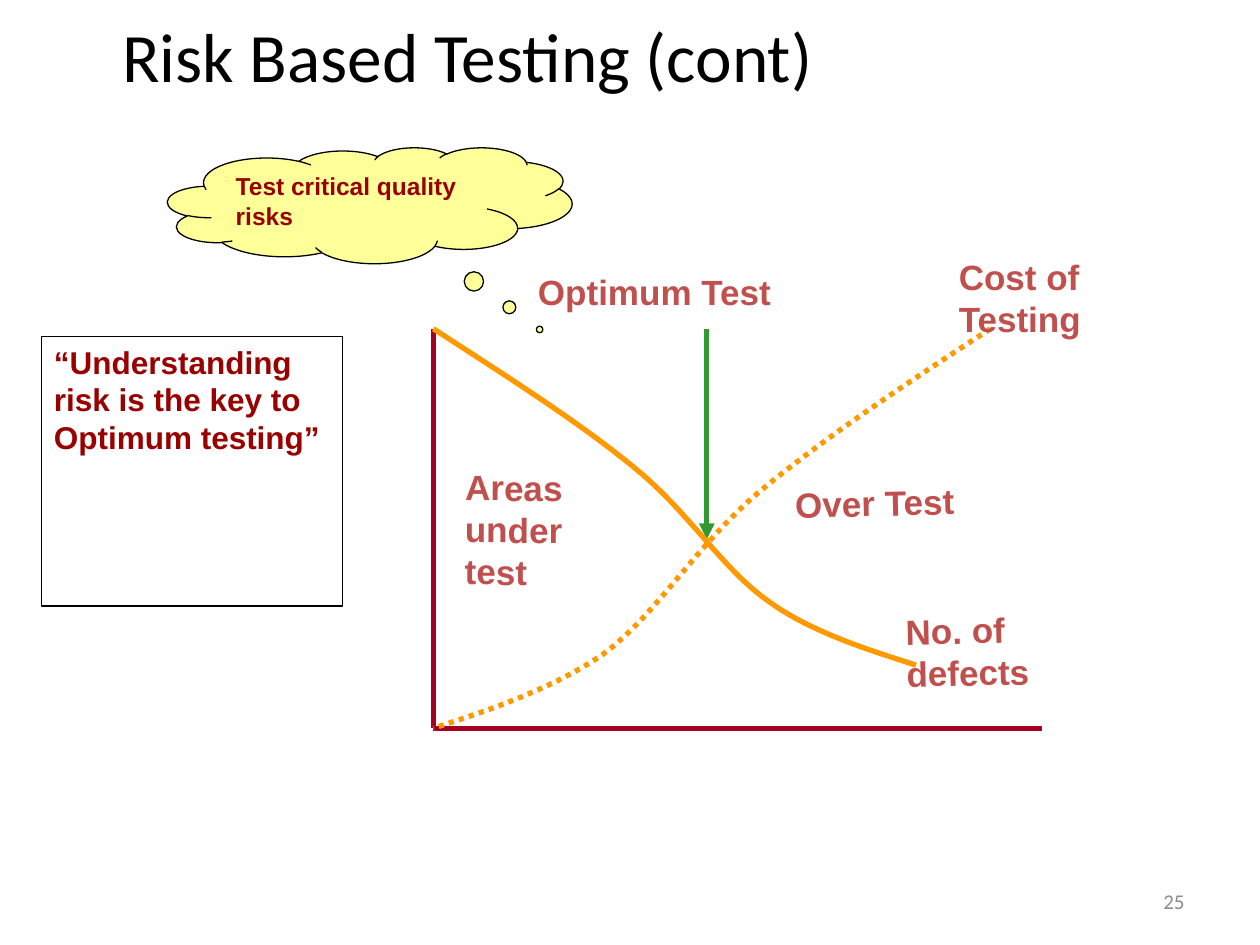
import pptx
import pptx.util
import pptx.dml.color
import pptx.enum.dml
import pptx.enum.shapes
import pptx.enum.text
import pptx.oxml.ns
from lxml import etree

Inches, Pt = pptx.util.Inches, pptx.util.Pt
SHAPE = pptx.enum.shapes.MSO_SHAPE
ALIGN = pptx.enum.text.PP_ALIGN
ANCHOR = pptx.enum.text.MSO_ANCHOR
qn = pptx.oxml.ns.qn
COLORS = {"axis": "A50021", "curve": "FF9900", "optimum": "339933",
          "label": "C0504D", "note": "990000", "cloud": "FFFF99",
          "black": "000000", "number": "8C8C8C"}


def rgb(name):
    return pptx.dml.color.RGBColor.from_string(COLORS[name])


def write(frame, lines, size, color, font="Arial", bold=True, align=ALIGN.LEFT):
    frame.word_wrap = True
    frame.text = "\n".join(lines)
    for paragraph in frame.paragraphs:
        paragraph.alignment = align
        paragraph.font.name = font
        paragraph.font.size = Pt(size)
        paragraph.font.bold = bold
        paragraph.font.color.rgb = rgb(color)


deck = pptx.Presentation()
deck.slide_width, deck.slide_height = Inches(10), Inches(7.5)
slide = deck.slides.add_slide(deck.slide_layouts[5])
shapes = slide.shapes

# Title and page number
title = shapes.title
title.left, title.top, title.width, title.height = map(Inches, (0.87, 0.16, 8.74, 0.55))
write(title.text_frame, ["Risk Based Testing (cont)"], 39.6, "black", "Calibri", False)
title.text_frame.vertical_anchor = ANCHOR.MIDDLE
page = shapes.add_textbox(*map(Inches, (7.17, 6.95, 2.33, 0.4))).text_frame
write(page, ["25"], 12, "number", "Calibri", False, ALIGN.RIGHT)
page.vertical_anchor = ANCHOR.MIDDLE

# Axes and optimum arrow
left, top, right, bottom = 3.44, 2.61, 8.27, 5.78
optimum_x, optimum_y = 5.61, 4.28
for x1, y1, x2, y2, color in [(left, top, left, bottom, "axis"),
                              (left, bottom, right, bottom, "axis"),
                              (optimum_x, top, optimum_x, optimum_y, "optimum")]:
    rule = shapes.add_connector(pptx.enum.shapes.MSO_CONNECTOR.STRAIGHT,
                                *map(Inches, (x1, y1, x2, y2)))
    rule.line.color.rgb = rgb(color)
    rule.line.width = Pt(3)
    if color == "optimum":
        etree.SubElement(rule.line._get_or_add_ln(), qn("a:tailEnd"), type="triangle")
    etree.SubElement(rule._element.spPr, qn("a:effectLst"))

# Defect and cost curves: cubic segments, each sampled evenly
STEPS = 16
defects = [(left, top), (4.01, 2.98), (4.58, 3.34), (5.02, 3.7), (5.47, 4.06),
           (5.73, 4.52), (6.11, 4.78), (6.48, 5.05), (7.07, 5.21), (7.27, 5.28)]
cost = [(7.86, top), (7.2, 3.04), (6.55, 3.47), (6.03, 3.9), (5.52, 4.33),
        (5.22, 4.87), (4.79, 5.19), (4.35, 5.5), (3.68, 5.7), (left, bottom)]
for knots, dotted in [(defects, False), (cost, True)]:
    points = []
    for start in range(0, len(knots) - 1, 3):
        segment = knots[start:start + 4]
        for step in range(1, STEPS + 1):
            t = step / STEPS
            weights = ((1 - t) ** 3, 3 * t * (1 - t) ** 2, 3 * t * t * (1 - t), t ** 3)
            points.append(tuple(Inches(sum(w * knot[axis] for w, knot in zip(weights, segment)))
                                for axis in (0, 1)))
    builder = shapes.build_freeform(*map(Inches, knots[0]))
    builder.add_line_segments(points, close=False)
    curve = builder.convert_to_shape()
    curve.shadow.inherit = False
    curve.fill.background()
    curve.line.color.rgb = rgb("curve")
    curve.line.width = Pt(3)
    if dotted:
        curve.line.dash_style = pptx.enum.dml.MSO_LINE.ROUND_DOT

# Chart labels
for text, x, y, width, height, turn in [
        ("Areas under test", 3.69, 3.7, 1.25, 1, 0.3),
        ("Over Test", 6.31, 3.82, 1.28, 0.33, -1.3),
        ("Optimum Test", 4.27, 2.15, 3, 0.33, 0),
        ("Cost of Testing", 7.61, 2.03, 1.67, 0.67, 0),
        ("No. of defects", 7.19, 4.83, 1.28, 0.67, -1.3)]:
    label = shapes.add_textbox(*map(Inches, (x, y, width, height)))
    label.rotation = turn
    frame = label.text_frame
    frame.margin_left = frame.margin_right = frame.margin_top = frame.margin_bottom = 0
    write(frame, [text], 20, "label")

# Thought cloud and quotation
cloud = shapes.add_shape(SHAPE.CLOUD_CALLOUT, *map(Inches, (1.33, 1.17, 3.21, 0.92)))
cloud.adjustments[0], cloud.adjustments[1] = 0.42, 1.07
cloud.fill.solid()
cloud.fill.fore_color.rgb = rgb("cloud")
quote = shapes.add_shape(SHAPE.RECTANGLE, *map(Inches, (0.33, 2.67, 2.39, 2.14)))
quote.fill.background()
for note, lines, size in [
        (cloud, ["Test critical quality risks"], 14),
        (quote, ["“Understanding risk is the key to", "Optimum testing”"], 18)]:
    note.shadow.inherit = False
    note.line.color.rgb = rgb("black")
    note.line.width = Pt(0.75)
    write(note.text_frame, lines, size, "note")
    note.text_frame.vertical_anchor = ANCHOR.TOP

deck.save("out.pptx")
